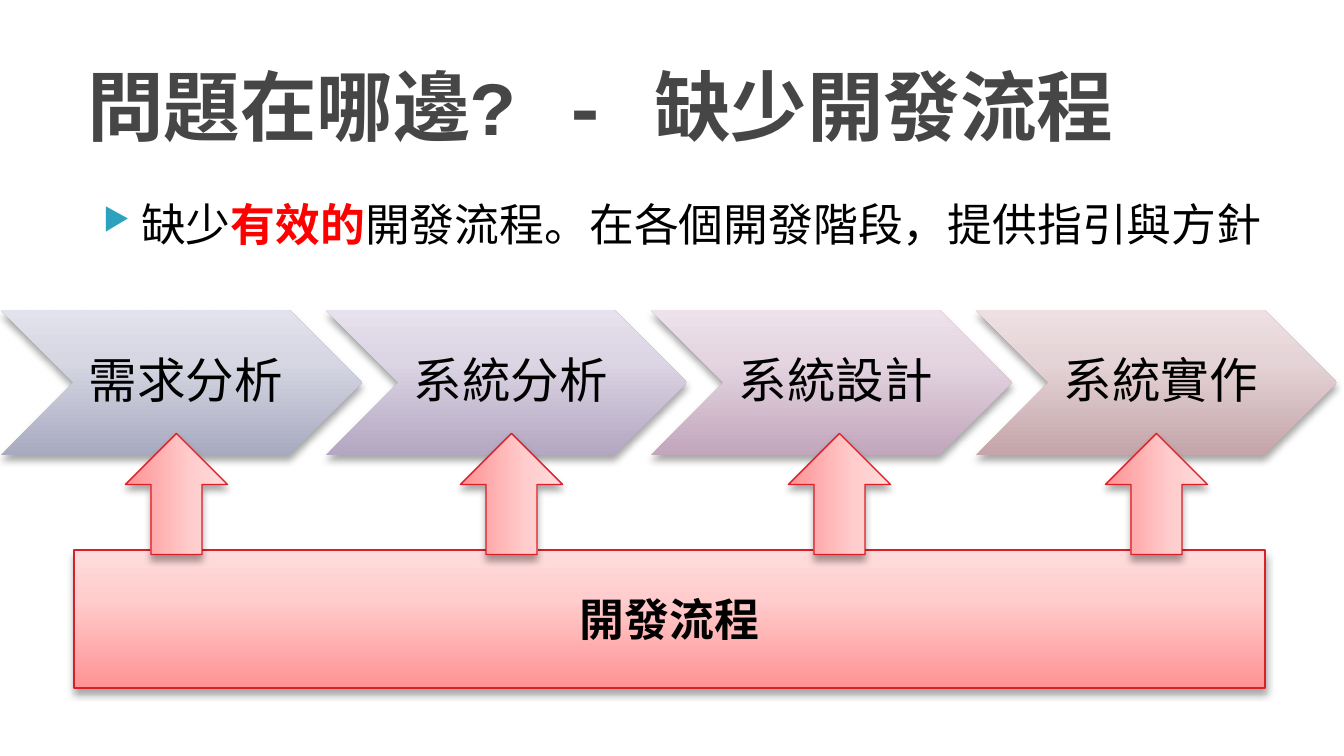
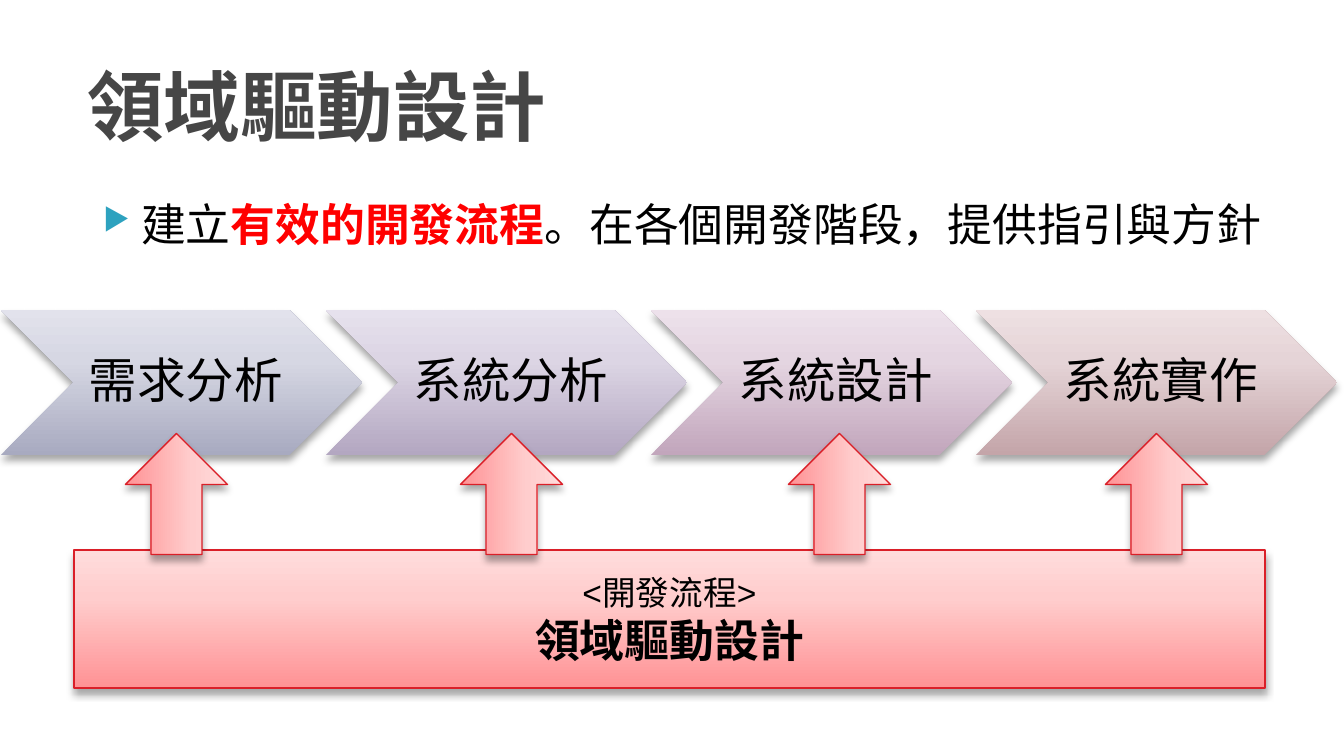
import pptx
import pptx.util
import pptx.oxml
import pptx.oxml.ns
import pptx.dml.color
import pptx.enum.shapes
import pptx.enum.text

PX = 914400 / 134.4  # EMU in one px
FONT = "Courier New"
COLORS = {"text": "000000", "title": "464646", "accent": "FF0000",
          "bullet": "2DA2BF", "outline": "DA1F28"}
RED_GRADIENT = ["FF9294", "FFCDCD", "FFDCDC"]

# Development stages and the gradient of each chevron, bottom to top
STAGES = [
    ("需求分析", ["A8AAC0", "D6D7E3", "E2E2EC"]),
    ("系統分析", ["B3A7C1", "DCD5E4", "E6E1ED"]),
    ("系統設計", ["C2A6BC", "E4D5E1", "EDE1EB"]),
    ("系統實作", ["C4A5A9", "E5D4D7", "EEE0E2"]),
]
STAGE_STEP = 325
ARROW_LEFTS = [116, 451, 779, 1096]

# Title, bullet as (before, emphasis, after), process lines as (text, size, bold)
SLIDES = [
    ("問題在哪邊? - 缺少開發流程",
     ("缺少", "有效的", "開發流程。在各個開發階段，提供指引與方針"),
     [("開發流程", 24, True)]),
    ("領域驅動設計",
     ("建立", "有效的開發流程", "。在各個開發階段，提供指引與方針"),
     [("<開發流程>", 18, False), ("領域驅動設計", 24, True)]),
]

SHAPE = pptx.enum.shapes.MSO_SHAPE
CENTER = pptx.enum.text.PP_ALIGN.CENTER
MIDDLE = pptx.enum.text.MSO_ANCHOR.MIDDLE
NS = pptx.oxml.ns.nsdecls("a")


def add_glossy(shapes, kind, bounds, gradient, outline=None):
    """Add a preset shape with a vertical gradient and a soft shadow below."""
    shape = shapes.add_shape(kind, *[round(n * PX) for n in bounds])
    if outline:
        shape.line.color.rgb = pptx.dml.color.RGBColor.from_string(outline)
        shape.line.width = pptx.util.Pt(0.75)
    else:
        shape.line.fill.background()
    stops = "".join(f'<a:gs pos="{pos}"><a:srgbClr val="{color}"/></a:gs>'
                    for pos, color in zip((0, 65000, 100000), gradient))
    properties = shape._element.spPr
    properties.insert(2, pptx.oxml.parse_xml(
        f'<a:gradFill {NS} rotWithShape="1"><a:gsLst>{stops}</a:gsLst>'
        '<a:lin ang="16200000" scaled="0"/></a:gradFill>'))
    properties.append(pptx.oxml.parse_xml(
        f'<a:effectLst {NS}><a:outerShdw blurRad="50800" dist="38100" dir="5400000" '
        'rotWithShape="0"><a:srgbClr val="000000"><a:alpha val="35000"/></a:srgbClr>'
        '</a:outerShdw></a:effectLst>'))
    return shape


def style(paragraph, size, color="text", bold=False, align=None):
    paragraph.alignment = align
    font = paragraph.font
    font.name, font.size, font.bold = FONT, pptx.util.Pt(size), bold
    font.color.rgb = pptx.dml.color.RGBColor.from_string(COLORS[color])


deck = pptx.Presentation()
deck.slide_width, deck.slide_height = round(1344 * PX), round(756 * PX)

for title, bullet, process in SLIDES:
    page = deck.slides.add_slide(deck.slide_layouts[6])

    # Bullet with its emphasised words
    box = page.shapes.add_textbox(*[round(n * PX) for n in (74, 190, 1210, 414)])
    box.text_frame.word_wrap = True
    para = box.text_frame.paragraphs[0]
    indents = para._p.get_or_add_pPr()
    indents.set("marL", str(round(54 * PX)))
    indents.set("indent", str(round(-38 * PX)))
    for tag in (f'<a:buClr {NS}><a:srgbClr val="{COLORS["bullet"]}"/></a:buClr>',
                f'<a:buSzPct {NS} val="68000"/>',
                f'<a:buChar {NS} char="▶"/>'):
        indents.append(pptx.oxml.parse_xml(tag))
    style(para, 24)
    for text in bullet:
        span = para.add_run()
        span.text = text
        if text == bullet[1]:
            span.font.bold = True
            span.font.color.rgb = pptx.dml.color.RGBColor.from_string(COLORS["accent"])

    # Title
    box = page.shapes.add_textbox(*[round(n * PX) for n in (74, 42, 1145, 126)])
    box.text_frame.word_wrap = True
    box.text_frame.vertical_anchor = MIDDLE
    box.text_frame.text = title
    style(box.text_frame.paragraphs[0], 41, "title", True)

    # Chain of stages
    chain = page.shapes.add_group_shape()
    for index, (stage, gradient) in enumerate(STAGES):
        left = 1 + index * STAGE_STEP
        add_glossy(chain.shapes, SHAPE.CHEVRON, (left, 310, 361, 145), gradient)
        box = chain.shapes.add_textbox(*[round(n * PX) for n in (left + 72, 310, 216, 145)])
        frame = box.text_frame
        frame.word_wrap = True
        frame.vertical_anchor = MIDDLE
        frame.margin_left = round(15 * PX)
        frame.margin_top = frame.margin_right = frame.margin_bottom = round(5 * PX)
        frame.text = stage
        frame.paragraphs[0].line_spacing = 0.9
        style(frame.paragraphs[0], 26, align=CENTER)

    # Process that supports every stage
    base = add_glossy(page.shapes, SHAPE.RECTANGLE, (74, 550, 1191, 138),
                      RED_GRADIENT, COLORS["outline"])
    base.text_frame.vertical_anchor = MIDDLE
    base.text_frame.text = "\n".join(text for text, size, bold in process)
    for para, (text, size, bold) in zip(base.text_frame.paragraphs, process):
        style(para, size, bold=bold, align=CENTER)

    # Arrows from the process up to the stages
    for left in ARROW_LEFTS:
        arrow = add_glossy(page.shapes, SHAPE.RIGHT_ARROW, (left, 443, 121, 102),
                           RED_GRADIENT, COLORS["outline"])
        arrow.rotation = 270
        arrow._element.spPr.xfrm.set("flipV", "1")

deck.save("out.pptx")
